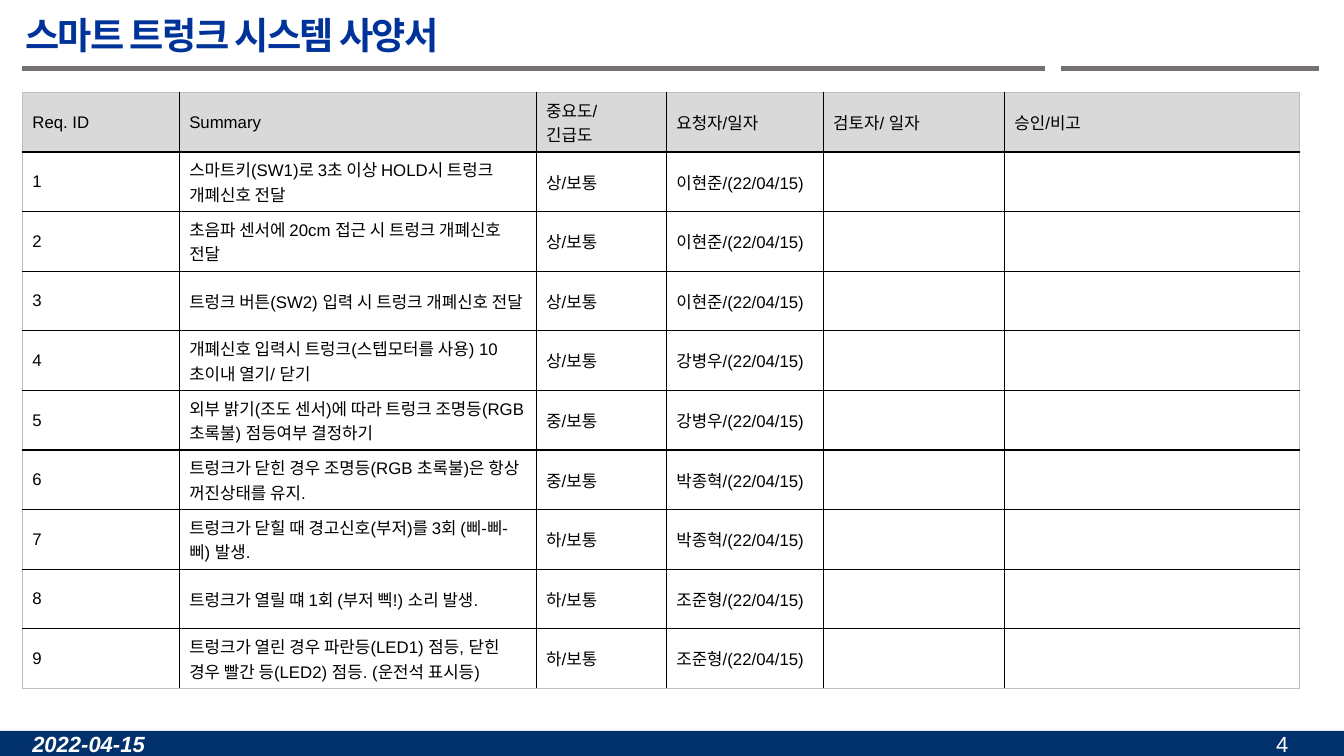
"""Build the smart trunk system specification slide."""
from lxml import etree
from pptx import Presentation
from pptx import util as u
from pptx.dml.color import RGBColor
from pptx.enum import shapes, text
from pptx.oxml import parse_xml
from pptx.oxml.ns import nsdecls, qn

NAVY = RGBColor(0x00, 0x31, 0x6C)
BLUE = RGBColor(0x00, 0x33, 0x99)
GREY = RGBColor(0x76, 0x71, 0x71)
EDGE = RGBColor(0xBF, 0xBF, 0xBF)
HEADER = RGBColor(0xD9, 0xD9, 0xD9)
BLACK = RGBColor(0, 0, 0)
WHITE = RGBColor(0xFF, 0xFF, 0xFF)
LATIN, KOREAN = "Arial", "Noto Sans CJK KR"

COLUMNS = [112, 255, 93, 112, 129.5, 211]
HEADINGS = ["Req. ID", "Summary", "중요도/\n긴급도", "요청자/일자", "검토자/ 일자", "승인/비고"]
REQUIREMENTS = [
    ("스마트키(SW1)로 3초 이상 HOLD시 트렁크 개폐신호 전달", "상", "이현준"),
    ("초음파 센서에 20cm 접근 시 트렁크 개폐신호 전달", "상", "이현준"),
    ("트렁크 버튼(SW2) 입력 시 트렁크 개폐신호 전달", "상", "이현준"),
    ("개폐신호 입력시 트렁크(스텝모터를 사용) 10초이내 열기/ 닫기", "상", "강병우"),
    ("외부 밝기(조도 센서)에 따라 트렁크 조명등(RGB 초록불) 점등여부 결정하기", "중", "강병우"),
    ("트렁크가 닫힌 경우 조명등(RGB 초록불)은 항상 꺼진상태를 유지.", "중", "박종혁"),
    ("트렁크가 닫힐 때 경고신호(부저)를 3회 (삐-삐-삐) 발생.", "하", "박종혁"),
    ("트렁크가 열릴 떄 1회 (부저 삑!) 소리 발생.", "하", "조준형"),
    ("트렁크가 열린 경우 파란등(LED1) 점등, 닫힌 경우 빨간 등(LED2) 점등. (운전석 표시등)", "하", "조준형"),
]


def add_span(para, words, size, color, font=LATIN, bold=False, italic=False):
    """Add one formatted run to a paragraph."""
    span = para.add_run()
    span.text = words
    span.font.name, span.font.size = font, u.Pt(size)
    span.font.bold, span.font.italic = bold, italic
    span.font.color.rgb = color
    etree.SubElement(span.font._element, qn("a:ea")).set("typeface", KOREAN)
    return span


def add_rule(page, start, end, top):
    """Draw one horizontal grey rule."""
    rule = page.shapes.add_connector(
        shapes.MSO_CONNECTOR.STRAIGHT, u.Pt(start), u.Pt(top), u.Pt(end), u.Pt(top))
    rule.line.color.rgb, rule.line.width = GREY, u.Pt(3)
    etree.SubElement(rule._element.spPr, qn("a:effectLst"))


def add_heading(page, left, top, width, height):
    """Fill the title placeholder and underline it with two rules."""
    title = page.shapes.title
    title.left, title.top, title.width, title.height = map(u.Pt, (left, top, width, height))
    frame = title.text_frame
    frame.margin_left = frame.margin_right = frame.margin_top = frame.margin_bottom = u.Pt(3)
    frame.vertical_anchor = text.MSO_ANCHOR.MIDDLE
    frame.auto_size = text.MSO_AUTO_SIZE.NONE
    para = frame.paragraphs[0]
    para.alignment, para.line_spacing = text.PP_ALIGN.LEFT, 0.9
    span = add_span(para, "스마트 트렁크 시스템 사양서", 26.6, BLUE, KOREAN, bold=True)
    properties = span.font._element
    properties.set("spc", "-120")
    properties.insert(0, parse_xml(
        f'<a:ln {nsdecls("a")} w="6350"><a:solidFill><a:srgbClr val="0066FF">'
        '<a:alpha val="10000"/></a:srgbClr></a:solidFill></a:ln>'))
    bottom = top + height
    add_rule(page, left + 1, left + 731.5, bottom)
    add_rule(page, left + 743, left + width, bottom)


def set_borders(cell, colors):
    """Give a cell its left, right, top and bottom borders."""
    properties = cell._tc.get_or_add_tcPr()
    for side, color in zip("LRTB", colors):
        properties.append(parse_xml(
            f'<a:ln{side} {nsdecls("a")} w="12700"><a:solidFill>'
            f'<a:srgbClr val="{color}"/></a:solidFill></a:ln{side}>'))


def add_requirements(page, left, top, height):
    """Add the requirements table."""
    rows = [HEADINGS] + [
        [str(number), summary, f"{level}/보통", f"{person}/(22/04/15)", "", ""]
        for number, (summary, level, person) in enumerate(REQUIREMENTS, 1)]
    table = page.shapes.add_table(
        len(rows), len(COLUMNS), u.Pt(left), u.Pt(top), u.Pt(sum(COLUMNS)), u.Pt(height)).table
    table.first_row = table.horz_banding = False
    for column, width in zip(table.columns, COLUMNS):
        column.width = u.Pt(width)
    last_row, last_column = len(rows) - 1, len(COLUMNS) - 1
    for r, row in enumerate(rows):
        table.rows[r].height = u.Pt(height / len(rows))
        for c, words in enumerate(row):
            cell = table.cell(r, c)
            outer = (c == 0, c == last_column, r == 0, r == last_row)
            set_borders(cell, [EDGE if edge else BLACK for edge in outer])
            cell.vertical_anchor = text.MSO_ANCHOR.MIDDLE
            if r == 0:
                cell.fill.solid()
                cell.fill.fore_color.rgb = HEADER
            else:
                cell.fill.background()
            frame = cell.text_frame
            for i, line in enumerate(words.split("\n") if words else []):
                para = frame.add_paragraph() if i else frame.paragraphs[0]
                add_span(para, line, 12, BLACK)


def add_footer(page, left, top, width, height):
    """Add the footer band with the date and the page number."""
    band = page.shapes.add_shape(
        shapes.MSO_SHAPE.RECTANGLE, *map(u.Pt, (left, top, width, height)))
    band.shadow.inherit = False
    band.fill.solid()
    band.fill.fore_color.rgb = NAVY
    band.line.fill.background()
    for words, offset, extent, align, strong in (
            ("2022-04-15", 16, 133, text.PP_ALIGN.LEFT, True),
            ("4", 894, 44, text.PP_ALIGN.CENTER, False)):
        box = page.shapes.add_textbox(*map(u.Pt, (left + offset, top, extent, height)))
        frame = box.text_frame
        frame.word_wrap = True
        frame.vertical_anchor = text.MSO_ANCHOR.MIDDLE
        para = frame.paragraphs[0]
        para.alignment = align
        add_span(para, words, 15.7, WHITE, bold=strong, italic=strong)


def main():
    """Assemble and save the deck."""
    deck = Presentation()
    deck.slide_width, deck.slide_height = u.Pt(960), u.Pt(540)
    page = deck.slides.add_slide(deck.slide_layouts[5])
    add_footer(page, 0, 522, 960, 18)
    add_heading(page, 15, 5, 927, 44)
    add_requirements(page, 16, 66, 426)
    deck.save("out.pptx")


main()
